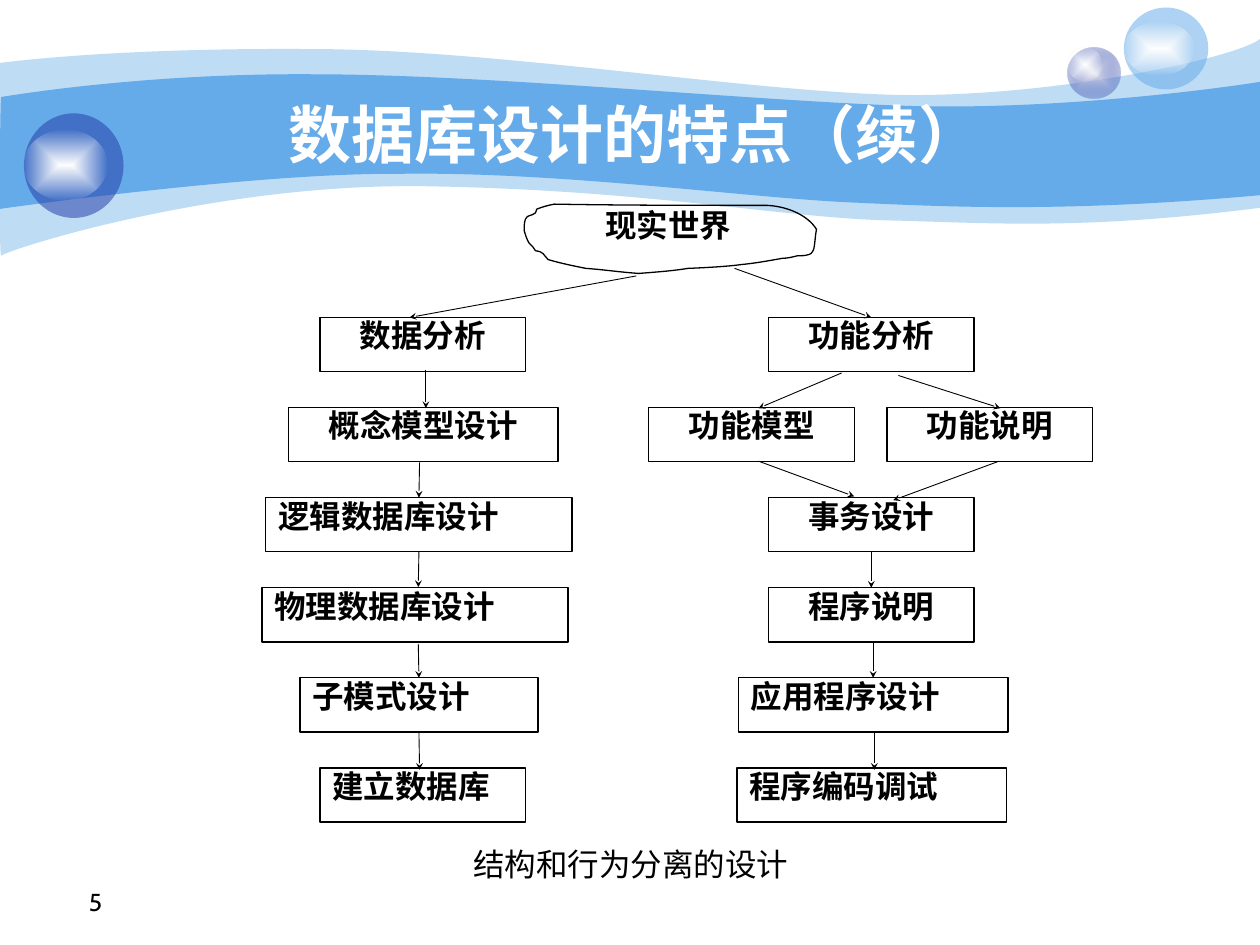
from dataclasses import dataclass
from typing import Optional

from lxml.etree import SubElement
from pptx import Presentation
from pptx.dml.color import RGBColor
from pptx.enum.shapes import MSO_CONNECTOR, MSO_SHAPE
from pptx.enum.text import MSO_ANCHOR, MSO_AUTO_SIZE, PP_ALIGN
from pptx.oxml.ns import qn
from pptx.util import Inches, Pt


@dataclass(frozen=True)
class Theme:
    ink: str = "000000"
    white: str = "FFFFFF"
    sky: str = "65AAE9"
    navy: str = "233DA9"
    mist: str = "E1E2ED"
    title: int = 36
    body: int = 18
    number: int = 14
    thin: float = 0.5
    outline: float = 0.75
    head_font: str = "Arial"
    body_font: str = "Times New Roman"
    number_font: str = "Cabin"


T = Theme()


@dataclass(frozen=True)
class Box:
    text: str
    left: float
    row: int
    width: float = 1.63
    align: PP_ALIGN = PP_ALIGN.CENTER


@dataclass(frozen=True)
class Arrow:
    """Each end is a point, or the name of a box to join."""
    begin: object
    end: object
    width: float = T.thin


@dataclass(frozen=True)
class Ball:
    at: tuple
    shine: tuple
    color: Optional[str]
    alpha: int = 53


ROW_TOP, ROW_STEP, BOX_H = 2.52, 0.715, 0.43
J = PP_ALIGN.JUSTIFY

# A start point, then line ends (x, y) or Bézier triples (x1, y1, x2, y2, x, y).
BACK_WAVE = [(0, 0.5), (0.24, 0.47, 1.07, 0.38, 2.47, 0.39), (3.86, 0.39, 5.75, 0.7, 6.99, 0.75),
             (8.22, 0.8, 9.8, 0.47, 10, 0.31), (10, 1.65), (8.58, 1.83, 7.87, 1.77, 7.05, 1.75),
             (6.22, 1.73, 5.15, 1.51, 3.43, 1.48), (1.72, 1.44, 0.04, 1.99, 0.01, 2.03),
             (-0.01, 2.08, 0, 0.75, 0, 0.5)]
FRONT_WAVE = [(0.01, 0.77), (0.02, 0.77, 1.1, 0.58, 2.48, 0.59), (3.86, 0.59, 5.95, 0.8, 7.18, 0.84),
              (8.41, 0.88, 9.76, 0.69, 10, 0.65), (10, 1.55), (8.53, 1.68, 7.65, 1.65, 6.82, 1.61),
              (5.99, 1.58, 4.47, 1.36, 3.17, 1.38), (2.03, 1.37, -0.02, 1.66, -0.01, 1.66),
              (0, 1.66, 0, 0.77, 0.01, 0.77)]
CLOUD = [(4.26, 1.66), (4.31, 1.64, 4.35, 1.63, 4.4, 1.62), (4.96, 1.63, 5.53, 1.63, 6.09, 1.63),
         (6.27, 1.64, 6.42, 1.72, 6.48, 1.82), (6.47, 1.87, 6.47, 1.92, 6.46, 1.97),
         (6.46, 1.98, 6.44, 2.02, 6.42, 2.02), (6.39, 2.03, 6.36, 2.03, 6.33, 2.03),
         (6.29, 2.04, 6.25, 2.05, 6.21, 2.05), (6.1, 2.07, 5.99, 2.09, 5.88, 2.1),
         (5.74, 2.12, 5.46, 2.13, 5.46, 2.13), (5.34, 2.15, 5.2, 2.16, 5.07, 2.17),
         (4.92, 2.16, 4.79, 2.14, 4.65, 2.13), (4.55, 2.11, 4.45, 2.09, 4.35, 2.06),
         (4.31, 2.02, 4.32, 2, 4.25, 1.99), (4.24, 1.98, 4.24, 1.97, 4.23, 1.96),
         (4.22, 1.95, 4.21, 1.94, 4.2, 1.93), (4.18, 1.9, 4.17, 1.86, 4.16, 1.83),
         (4.16, 1.8, 4.16, 1.77, 4.17, 1.74), (4.19, 1.7, 4.21, 1.72, 4.25, 1.69),
         (4.26, 1.68, 4.26, 1.67, 4.26, 1.66)]

BALLS = [
    Ball((8.47, 0.38, 0.42, 0.4), (8.47, 0.38, 0.28, 0.27), None),
    Ball((8.92, 0.06, 0.67, 0.65), (8.92, 0.17, 0.56, 0.43), T.sky),
    Ball((0.19, 0.9, 0.79, 0.83), (0.19, 1.03, 0.66, 0.56), T.navy),
]

BOXES = [
    Box("概念模型设计", 2.29, 1, 2.14), Box("子模式设计", 2.38, 4, 1.89, J),
    Box("物理数据库设计", 2.08, 3, 2.43, J), Box("逻辑数据库设计", 2.11, 2, 2.43, J),
    Box("建立数据库", 2.54, 5, align=J), Box("数据分析", 2.54, 0),
    Box("功能分析", 6.1, 0), Box("功能模型", 5.15, 1), Box("功能说明", 7.04, 1),
    Box("事务设计", 6.1, 2), Box("程序说明", 6.1, 3),
    Box("应用程序设计", 5.86, 4, 2.14, J), Box("程序编码调试", 5.85, 5, 2.14, J),
]
ARROWS = [
    Arrow((5.05, 2.19), (3.25, 2.52)),
    Arrow((3.38, 2.94), (3.38, 3.24)),
    Arrow((3.33, 3.67), "逻辑数据库设计"),
    Arrow("逻辑数据库设计", (3.32, 4.66)),
    Arrow((3.32, 5.11), "子模式设计"),
    Arrow("子模式设计", (3.33, 6.11)),
    Arrow((5.83, 2.13), "功能分析"),
    Arrow((6.68, 2.96), (6.02, 3.24)),
    Arrow((7.13, 2.98), (7.94, 3.24)),
    Arrow((6.02, 3.66), (6.78, 3.94)),
    Arrow((7.93, 3.66), (7.09, 3.97)),
    Arrow("事务设计", "程序说明"),
    Arrow((6.93, 5.09), "应用程序设计"),
    Arrow((6.94, 5.82), (6.94, 6.11), T.outline),
]


def rgb(color: str) -> RGBColor:
    return RGBColor.from_string(color)


def set_alpha(color_el, percent: float) -> None:
    SubElement(color_el, qn("a:alpha")).set("val", str(int(percent * 1000)))


def paint(sp, fill: Optional[str] = None, alpha: int = 100, line: Optional[str] = None) -> None:
    sp.shadow.inherit = False
    if fill:
        sp.fill.solid()
        sp.fill.fore_color.rgb = rgb(fill)
        if alpha < 100:
            set_alpha(sp._element.spPr.find(f".//{qn('a:srgbClr')}"), alpha)
    else:
        sp.fill.background()
    if line:
        sp.line.color.rgb = rgb(line)
        sp.line.width = Pt(T.outline)
    else:
        sp.line.fill.background()


def paint_glow(sp, inner: str, outer: str, outer_alpha: int) -> None:
    """Fill from the centre outwards, fading to outer_alpha."""
    paint(sp)
    spPr = sp._element.spPr
    old = spPr.find(qn("a:noFill"))
    grad = old.makeelement(qn("a:gradFill"), {"rotWithShape": "1"})
    spPr.replace(old, grad)
    stops = SubElement(grad, qn("a:gsLst"))
    for pos, color, alpha in ((0, inner, 100), (100, outer, outer_alpha)):
        gs = SubElement(stops, qn("a:gs"), pos=str(pos * 1000))
        set_alpha(SubElement(gs, qn("a:srgbClr"), val=color), alpha)
    shade = SubElement(grad, qn("a:path"), path="shape")
    SubElement(shade, qn("a:fillToRect"), l="50000", t="50000", r="50000", b="50000")


def add_outline(s, segments: list, **look) -> None:
    """Build on all points, then merge each Bézier triple of lines into a curve."""
    (x0, y0), *rest = segments
    points = [(Inches(seg[i]), Inches(seg[i + 1])) for seg in rest for i in range(0, len(seg), 2)]
    fb = s.shapes.build_freeform(Inches(x0), Inches(y0))
    fb.add_line_segments(points)
    sp = fb.convert_to_shape()
    outline = sp._element.spPr.find(f".//{qn('a:path')}")
    lines = iter(outline.findall(qn("a:lnTo")))
    for seg in rest:
        first = next(lines)
        if len(seg) == 6:
            curve = first.makeelement(qn("a:cubicBezTo"), {})
            outline.replace(first, curve)
            curve.append(first[0])
            for _ in range(2):
                ln = next(lines)
                curve.append(ln[0])
                outline.remove(ln)
    paint(sp, **look)


def write(sp, text: str, *, size=T.body, font=T.body_font, color=T.ink, bold=False,
          align=PP_ALIGN.LEFT, anchor=MSO_ANCHOR.TOP, spacing=None, wrap=True) -> None:
    tf = sp.text_frame
    tf.word_wrap = wrap
    tf.vertical_anchor = anchor
    if not wrap:
        tf.auto_size = MSO_AUTO_SIZE.SHAPE_TO_FIT_TEXT
    p = tf.paragraphs[0]
    p.alignment = align
    if spacing:
        p.line_spacing = spacing
    r = p.add_run()
    r.text = text
    r.font.size, r.font.name, r.font.bold = Pt(size), font, bold
    r.font.color.rgb = rgb(color)


def add_label(s, at: tuple, text: str, **fmt) -> None:
    write(s.shapes.add_textbox(*map(Inches, at)), text, **fmt)


def add_ellipse(s, at: tuple):
    return s.shapes.add_shape(MSO_SHAPE.OVAL, *map(Inches, at))


def add_ball(s, ball: Ball) -> None:
    sp = add_ellipse(s, ball.at)
    if ball.color:
        paint(sp, ball.color, ball.alpha)
    else:
        paint_glow(sp, T.mist, T.navy, 31)
    paint_glow(add_ellipse(s, ball.shine), T.white, T.white, 0)


def add_box(s, box: Box):
    at = (box.left, ROW_TOP + box.row * ROW_STEP, box.width, BOX_H)
    sp = s.shapes.add_shape(MSO_SHAPE.RECTANGLE, *map(Inches, at))
    paint(sp, line=T.ink)
    write(sp, box.text, bold=True, align=box.align, spacing=0.8)
    return sp


def add_arrow(s, arrow: Arrow, boxes: dict) -> None:
    ends = [(0, 0) if isinstance(e, str) else e for e in (arrow.begin, arrow.end)]
    cn = s.shapes.add_connector(MSO_CONNECTOR.STRAIGHT, *(Inches(v) for e in ends for v in e))
    if isinstance(arrow.begin, str):
        cn.begin_connect(boxes[arrow.begin], 2)
    if isinstance(arrow.end, str):
        cn.end_connect(boxes[arrow.end], 0)
    cn.line.color.rgb = rgb(T.ink)
    cn.line.width = Pt(arrow.width)
    ln = cn._element.spPr.find(qn("a:ln"))
    SubElement(ln, qn("a:tailEnd"), type="stealth", w="sm", len="sm")
    SubElement(cn._element.spPr, qn("a:effectLst"))


def main() -> None:
    prs = Presentation()
    prs.slide_width, prs.slide_height = Inches(10), Inches(7.5)
    s = prs.slides.add_slide(prs.slide_layouts[6])

    add_outline(s, BACK_WAVE, fill=T.sky, alpha=41)
    add_outline(s, FRONT_WAVE, fill=T.sky)
    for ball in BALLS:
        add_ball(s, ball)
    add_label(s, (1, 0.75, 8.08, 0.62), "数据库设计的特点（续）", size=T.title, font=T.head_font,
              color=T.white, bold=True, align=PP_ALIGN.CENTER, anchor=MSO_ANCHOR.MIDDLE)

    add_outline(s, CLOUD, line=T.ink)
    add_label(s, (4.52, 1.64, 1.57, 0.52), "现实世界", bold=True,
              align=PP_ALIGN.CENTER, spacing=0.8)
    boxes = {b.text: add_box(s, b) for b in BOXES}
    for arrow in ARROWS:
        add_arrow(s, arrow, boxes)

    add_label(s, (3.66, 6.66, 2.76, 0.4), "结构和行为分离的设计",
              anchor=MSO_ANCHOR.MIDDLE, wrap=False)
    add_label(s, (0.27, 6.82, 0.64, 0.5), "5", size=T.number, font=T.number_font,
              align=PP_ALIGN.RIGHT, anchor=MSO_ANCHOR.BOTTOM)
    prs.save("out.pptx")


if __name__ == "__main__":
    main()
